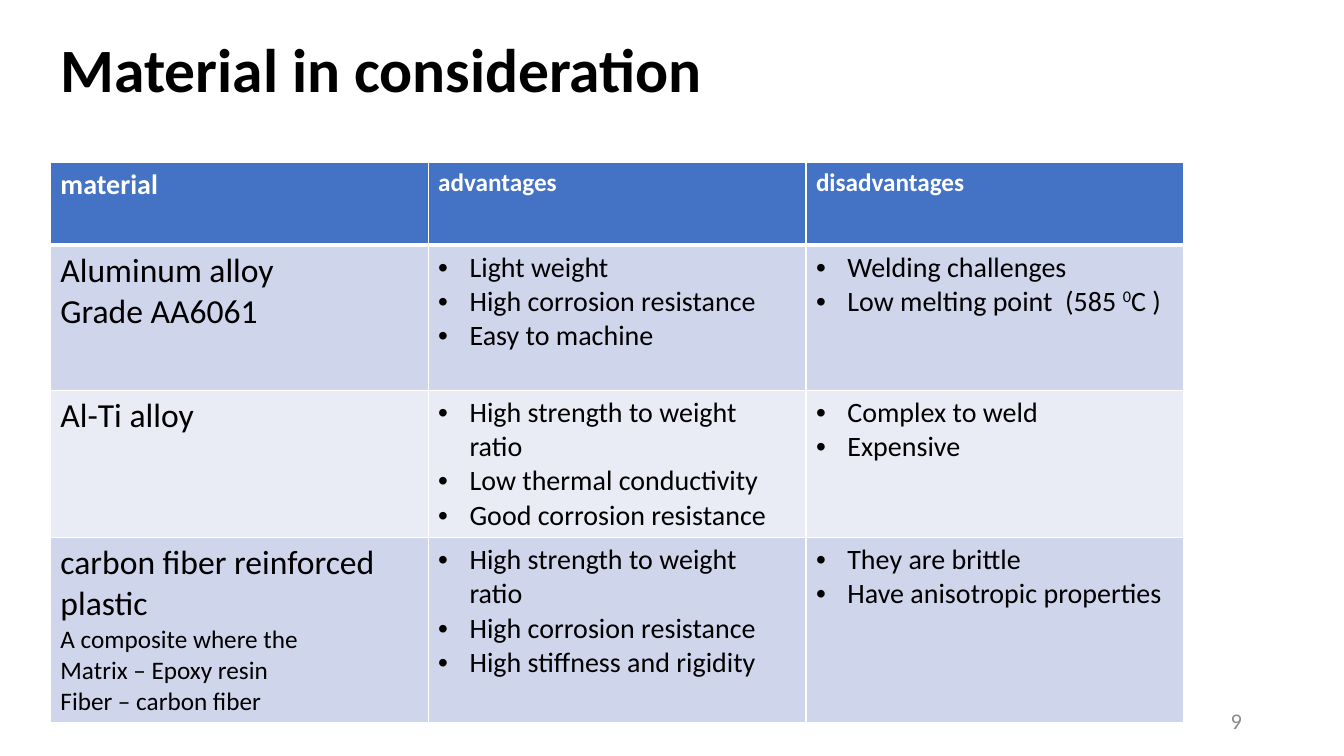
from dataclasses import dataclass

from lxml import etree
from pptx import Presentation
from pptx.dml.color import RGBColor
from pptx.enum.text import MSO_ANCHOR, PP_ALIGN
from pptx.oxml.ns import qn
from pptx.util import Cm, Pt

LEFT, RIGHT = PP_ALIGN.LEFT, PP_ALIGN.RIGHT
MIDDLE = MSO_ANCHOR.MIDDLE
TITLE_ONLY = 5


@dataclass(frozen=True)
class Theme:
    face: str = "Calibri"
    ink: str = "000000"
    white: str = "FFFFFF"
    grey: str = "8C8C8C"
    head: str = "4472C4"
    bands: tuple = ("CFD5EA", "E9EBF5")
    title: int = 44
    name: int = 24
    point: int = 20
    note: int = 18
    page: int = 16
    thin: int = 1
    thick: int = 3


HEADS = ["material", "advantages", "disadvantages"]
# Each row: name lines, note lines, advantages, disadvantages.
# A point given as a tuple has a raised middle part.
ROWS = [
    (["Aluminum alloy", "Grade AA6061"], [],
     ["Light weight", "High corrosion resistance", "Easy to machine"],
     ["Welding challenges", ("Low melting point  (585 ", "0", "C )")]),
    (["Al-Ti alloy"], [],
     ["High strength to weight ratio", "Low thermal conductivity",
      "Good corrosion resistance"],
     ["Complex to weld", "Expensive"]),
    (["carbon fiber reinforced plastic"],
     ["A composite where the", "Matrix – Epoxy resin", "Fiber – carbon fiber"],
     ["High strength to weight ratio", "High corrosion resistance",
      "High stiffness and rigidity"],
     ["They are brittle", "Have anisotropic properties"]),
]
WIDTH = 9.52
HEIGHTS = [2.08, 3.66, 3.5, 4.45]


def assign(target, values):
    for key, value in values.items():
        setattr(target, key, value)


class Deck:
    def __init__(self, theme):
        self.theme = theme
        self.file = Presentation()
        assign(self.file, {"slide_width": Cm(33.87), "slide_height": Cm(19.05)})
        self.slide = self.file.slides.add_slide(
            self.file.slide_layouts[TITLE_ONLY])

    def words(self, para, text, size, color, bold=False):
        parts = text if isinstance(text, tuple) else (text,)
        for index, part in enumerate(parts):
            run = para.add_run()
            run.text = part
            assign(run.font, {"name": self.theme.face, "size": Pt(size),
                              "bold": bold})
            run.font.color.rgb = RGBColor.from_string(color)
            if index == 1:
                run._r.get_or_add_rPr().set("baseline", "30000")

    def title(self, text):
        shape = self.slide.shapes.title
        assign(shape, {"left": Cm(1.27), "top": Cm(0),
                       "width": Cm(29.21), "height": Cm(3.68)})
        assign(shape.text_frame, {"vertical_anchor": MIDDLE, "word_wrap": True})
        para = shape.text_frame.paragraphs[0]
        assign(para, {"alignment": LEFT, "line_spacing": 0.9})
        self.words(para, text, self.theme.title, self.theme.ink, True)

    def page(self, text):
        box = self.slide.shapes.add_textbox(Cm(23.93), Cm(17.65),
                                            Cm(7.62), Cm(1.02))
        assign(box.text_frame, {"vertical_anchor": MIDDLE, "word_wrap": True})
        para = box.text_frame.paragraphs[0]
        para.alignment = RIGHT
        self.words(para, text, self.theme.page, self.theme.grey)

    def bullet(self, para):
        props = para._p.get_or_add_pPr()
        indent = Cm(0.79)
        props.set("marL", str(indent))
        props.set("indent", str(-indent))
        etree.SubElement(props, qn("a:buFont")).set("typeface", "Arial")
        etree.SubElement(props, qn("a:buChar")).set("char", "•")

    def border(self, cell, widths):
        props = cell._tc.get_or_add_tcPr()
        for side, width in zip("LRTB", widths):
            line = etree.SubElement(props, qn(f"a:ln{side}"), w=str(Pt(width)))
            fill = etree.SubElement(line, qn("a:solidFill"))
            etree.SubElement(fill, qn("a:srgbClr"), val=self.theme.white)

    def cell(self, cell, lines, fill, widths, color, bold=False):
        """Fill a cell with lines given as (text, size, has bullet)."""
        self.border(cell, widths)
        cell.fill.solid()
        cell.fill.fore_color.rgb = RGBColor.from_string(fill)
        frame = cell.text_frame
        for index, (text, size, dot) in enumerate(lines):
            para = frame.add_paragraph() if index else frame.paragraphs[0]
            if dot:
                self.bullet(para)
            self.words(para, text, size, color, bold)

    def table(self, heads, rows):
        look = self.theme
        grid = self.slide.shapes.add_table(
            len(rows) + 1, len(heads), Cm(1.27), Cm(4.1),
            Cm(WIDTH * len(heads)), Cm(sum(HEIGHTS))).table
        for column in grid.columns:
            column.width = Cm(WIDTH)
        for row, height in zip(grid.rows, HEIGHTS):
            row.height = Cm(height)
        thin, thick = look.thin, look.thick
        for col, text in enumerate(heads):
            size = look.note if col else look.point
            self.cell(grid.cell(0, col), [(text, size, False)], look.head,
                      (thin, thin, thin, thick), look.white, True)
        for index, (names, notes, pros, cons) in enumerate(rows):
            label = [(text, look.name, False) for text in names]
            label += [(text, look.note, False) for text in notes]
            lists = [[(text, look.point, True) for text in points]
                     for points in (pros, cons)]
            top = thin if index else thick
            for col, lines in enumerate([label, *lists]):
                self.cell(grid.cell(index + 1, col), lines,
                          look.bands[index % 2], (thin, thin, top, thin),
                          look.ink)


def main():
    deck = Deck(Theme())
    deck.title("Material in consideration")
    deck.table(HEADS, ROWS)
    deck.page("9")
    deck.file.save("out.pptx")


if __name__ == "__main__":
    main()
